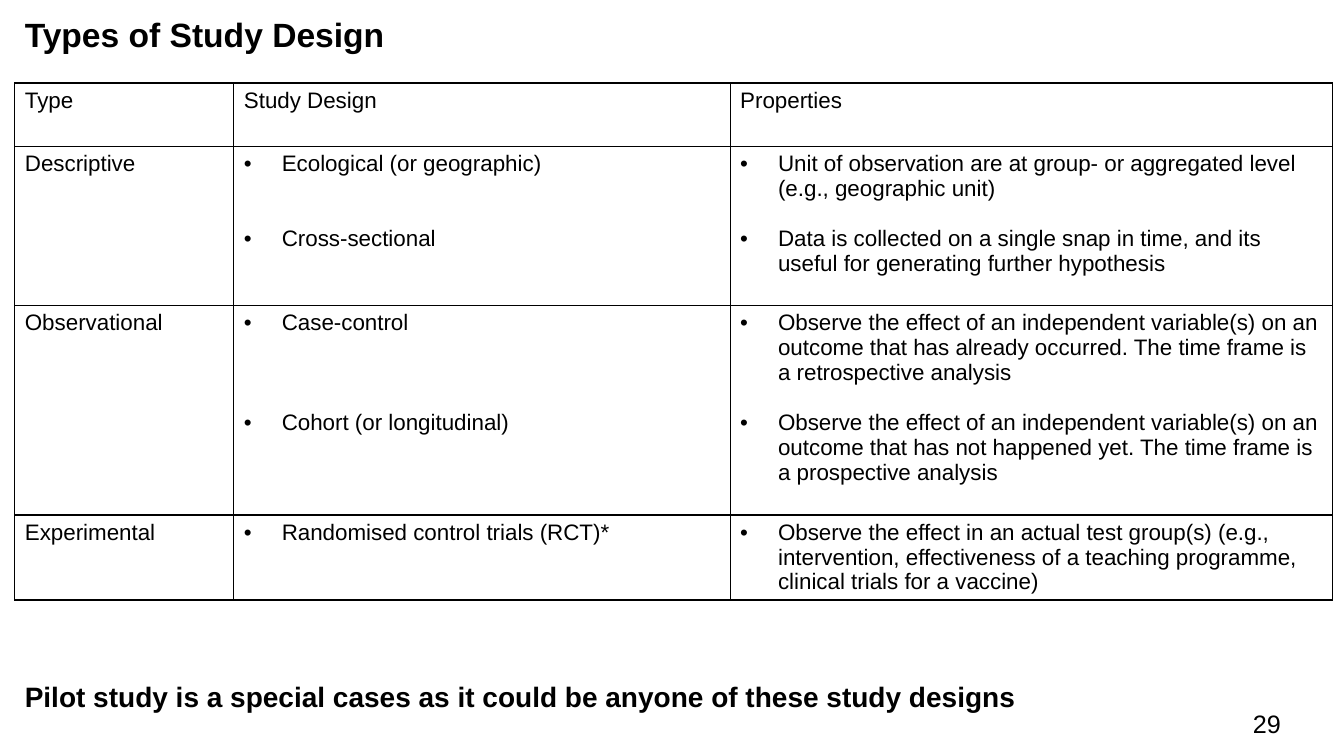
import pptx
import pptx.util
import pptx.dml.color
import pptx.enum.text
import pptx.oxml
import pptx.oxml.ns

Pt = pptx.util.Pt
COLORS = {"ink": "000000", "paper": "FFFFFF"}
FONT = "Arial"
LINE = 17.86
INDENT = 27
WIDTHS = [156.5, 354.5, 430.5]
HEIGHTS = [45.4, 113.6, 149.6, 60.7]

ROWS = [
    ("Type", ["Study Design"], ["Properties"], 0),
    ("Descriptive",
     ["Ecological (or geographic)", "Cross-sectional"],
     ["Unit of observation are at group- or aggregated level (e.g., geographic unit)",
      "Data is collected on a single snap in time, and its useful for generating further hypothesis"], 2),
    ("Observational",
     ["Case-control", "Cohort (or longitudinal)"],
     ["Observe the effect of an independent variable(s) on an outcome that has already occurred. "
      "The time frame is a retrospective analysis",
      "Observe the effect of an independent variable(s) on an outcome that has not happened yet. "
      "The time frame is a prospective analysis"], 3),
    ("Experimental",
     ["Randomised control trials (RCT)*"],
     ["Observe the effect in an actual test group(s) (e.g., intervention, effectiveness of a "
      "teaching programme, clinical trials for a vaccine)"], 0),
]


def color(name):
    return pptx.dml.color.RGBColor.from_string(COLORS[name])


def element(tag, body="", **attrs):
    pairs = " ".join(f'{key}="{value}"' for key, value in attrs.items())
    space = pptx.oxml.ns.nsdecls("a")
    return pptx.oxml.parse_xml(f"<a:{tag} {space} {pairs}>{body}</a:{tag}>")


def write(frame, texts, size=16, bold=False, bullet=False, gap=0):
    frame.word_wrap = True
    for index, text in enumerate(texts):
        para = frame.add_paragraph() if index else frame.paragraphs[0]
        if bullet:
            props = para._p.get_or_add_pPr()
            props.set("marL", str(Pt(INDENT)))
            props.set("indent", str(-Pt(INDENT)))
            props.append(element("buFont", typeface=FONT))
            props.append(element("buChar", char="•"))
        if index:
            para.space_before = Pt(gap)
        run = para.add_run()
        run.text = text
        run.font.name = FONT
        run.font.size = Pt(size)
        run.font.bold = bold
        run.font.color.rgb = color("ink")


def label(slide, box, text, **style):
    frame = slide.shapes.add_textbox(*map(Pt, box)).text_frame
    frame.vertical_anchor = pptx.enum.text.MSO_ANCHOR.TOP
    write(frame, [text], **style)


def border(cell):
    props = cell._tc.get_or_add_tcPr()
    fill = f'<a:solidFill><a:srgbClr val="{COLORS["ink"]}"/></a:solidFill>'
    for index, side in enumerate(("lnL", "lnR", "lnT", "lnB")):
        props.insert(index, element(side, fill, w=Pt(1)))


def grid(slide, box):
    table = slide.shapes.add_table(len(ROWS), len(WIDTHS), *map(Pt, box)).table
    table.first_row = table.horz_banding = False
    for column, width in zip(table.columns, WIDTHS):
        column.width = Pt(width)
    for row, height in zip(table.rows, HEIGHTS):
        row.height = Pt(height)
    for index, (kind, designs, traits, skip) in enumerate(ROWS):
        cells = table.rows[index].cells
        listed = index > 0
        write(cells[0].text_frame, [kind])
        write(cells[1].text_frame, designs, bullet=listed, gap=skip * LINE)
        write(cells[2].text_frame, traits, bullet=listed, gap=LINE)
        for cell in cells:
            cell.fill.background()
            border(cell)


def main():
    deck = pptx.Presentation()
    deck.slide_width, deck.slide_height = Pt(960), Pt(540)
    slide = deck.slides.add_slide(deck.slide_layouts[6])
    slide.background.fill.solid()
    slide.background.fill.fore_color.rgb = color("paper")
    left = 10.6
    grid(slide, (left, 59.3, sum(WIDTHS), sum(HEIGHTS)))
    label(slide, (left, 6.5, 296.6, 28.8), "Types of Study Design", size=24, bold=True)
    label(slide, (left, 481.5, 727, 31.5),
          "Pilot study is a special cases as it could be anyone of these study designs",
          size=20, bold=True)
    label(slide, (887.8, 502.5, 42.5, 11.5), "29", size=18)
    deck.save("out.pptx")


if __name__ == "__main__":
    main()
